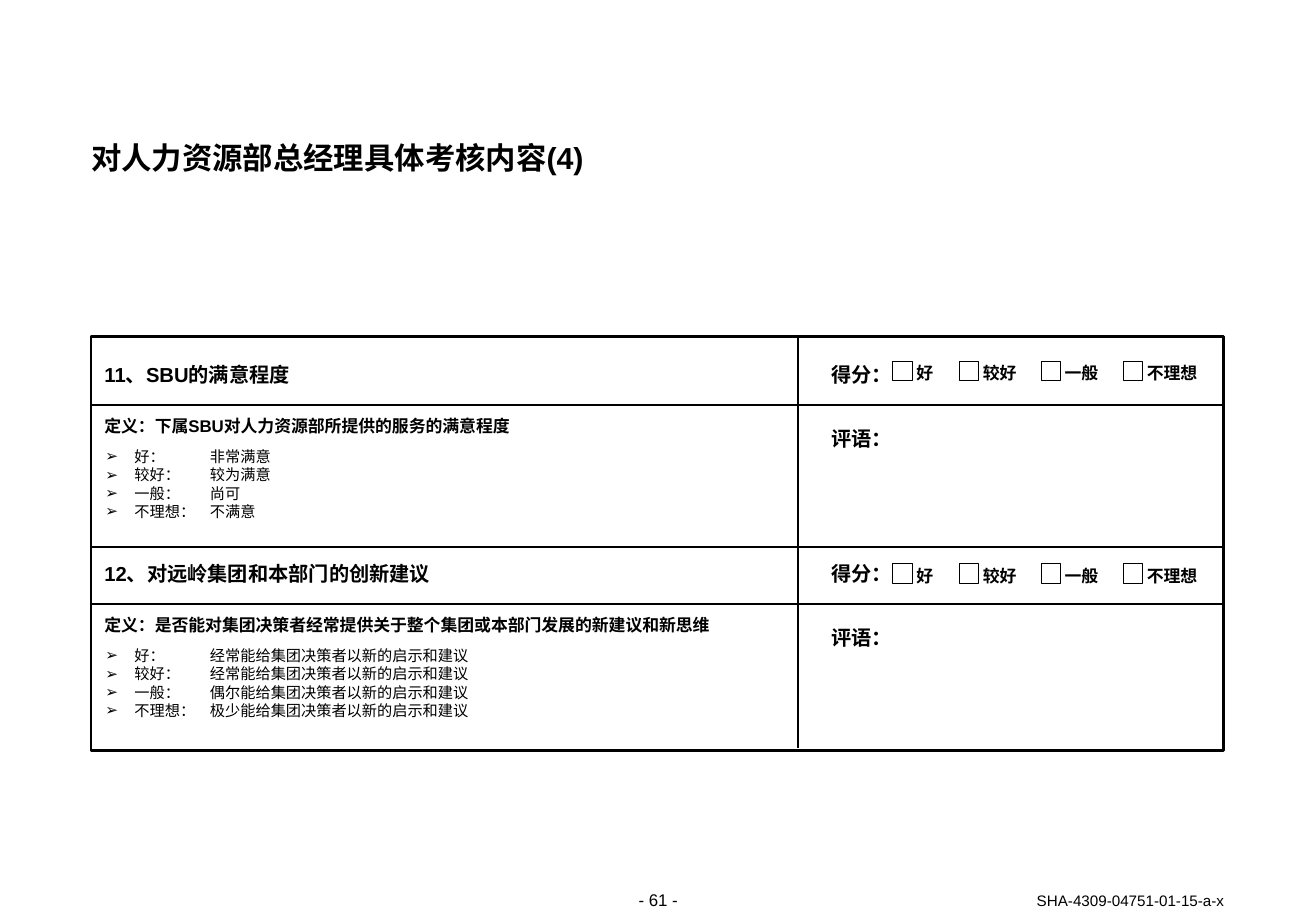
from dataclasses import dataclass
from lxml import etree
from pptx import Presentation
from pptx.dml.color import RGBColor
from pptx.enum.shapes import MSO_CONNECTOR, MSO_SHAPE
from pptx.enum.text import MSO_ANCHOR, MSO_AUTO_SIZE, PP_ALIGN
from pptx.oxml.ns import qn
from pptx.util import Length, Pt

LEFT, MID, RIGHT = PP_ALIGN.LEFT, PP_ALIGN.CENTER, PP_ALIGN.RIGHT
TOP, CENTRE, BASE = MSO_ANCHOR.TOP, MSO_ANCHOR.MIDDLE, MSO_ANCHOR.BOTTOM
FIT = MSO_AUTO_SIZE.SHAPE_TO_FIT_TEXT
RECT = MSO_SHAPE.RECTANGLE
STRAIGHT = MSO_CONNECTOR.STRAIGHT

FONT = "Arial"
HUES = {"ink": "000000", "paper": "FFFFFF"}
EDGE, END, SPLIT = 54, 725.7, 473
INSET, SCORE = 61.9, 493
CHECK = 11.5

Area = tuple[float, float, float, float]


@dataclass(frozen=True)
class Rule:
    x: float
    y: float
    to_x: float
    to_y: float
    weight: float


@dataclass(frozen=True)
class Grade:
    label: str
    x: float


@dataclass(frozen=True)
class Topic:
    head: str
    sense: str
    levels: tuple[str, ...]
    top: float
    check: float


RULES = [Rule(EDGE, y, END, y, 1) for y in (240.2, 324.1, 358)]
RULES.append(Rule(SPLIT, 199, SPLIT, 443.5, 1.5))

GRADES = [
    Grade("好", 529.4),
    Grade("较好", 568.9),
    Grade("一般", 617.3),
    Grade("不理想", 666.1),
]

TOPICS = [
    Topic(
        "11、SBU的满意程度",
        "定义：下属SBU对人力资源部所提供的服务的满意程度",
        ("非常满意", "较为满意", "尚可", "不满意"),
        214.7,
        214.1,
    ),
    Topic(
        "12、对远岭集团和本部门的创新建议",
        "定义：是否能对集团决策者经常提供关于整个集团或本部门发展的新建议和新思维",
        tuple(
            f"{often}能给集团决策者以新的启示和建议"
            for often in ("经常", "经常", "偶尔", "极少")
        ),
        332.7,
        334.1,
    ),
]


def hue(name: str) -> RGBColor:
    return RGBColor.from_string(HUES[name])


def mark(para, tab: float) -> None:
    props = para._p.get_or_add_pPr()
    props.set("marL", str(Pt(17.8)))
    props.set("indent", str(-Pt(17.3)))
    tint = etree.SubElement(props, qn("a:buClr"))
    etree.SubElement(tint, qn("a:srgbClr"), val=HUES["ink"])
    etree.SubElement(props, qn("a:buFont"), typeface=FONT)
    etree.SubElement(props, qn("a:buChar"), char="➢")
    tabs = etree.SubElement(props, qn("a:tabLst"))
    etree.SubElement(tabs, qn("a:tab"), pos=str(Pt(tab)), algn="l")


def write(
    shape,
    text: str,
    area: Area,
    *,
    size: float,
    bold: bool = False,
    align: PP_ALIGN = LEFT,
    anchor: MSO_ANCHOR = TOP,
    wrap: bool = True,
    pitch: Length | float = 1.0,
    gap: float = 0,
    tab: float | None = None,
) -> None:
    shape.left, shape.top, shape.width, shape.height = map(Pt, area)
    frame = shape.text_frame
    frame.margin_left = frame.margin_right = 0
    frame.margin_top = frame.margin_bottom = 0
    frame.word_wrap = wrap
    frame.auto_size = FIT
    frame.vertical_anchor = anchor
    for i, line in enumerate(text.split("\n")):
        para = frame.add_paragraph() if i else frame.paragraphs[0]
        if tab is not None:
            mark(para, tab)
        para.alignment = align
        para.line_spacing = pitch
        para.space_before = Pt(gap if i else 0)
        run = para.add_run()
        run.text = line
        run.font.name = FONT
        run.font.size = Pt(size)
        run.font.bold = bold
        run.font.color.rgb = hue("ink")


def label(shapes, text: str, area: Area, **form) -> None:
    write(shapes.add_textbox(*map(Pt, area)), text, area, **form)


def box(shapes, area: Area, weight: float, fill: str | None = None) -> None:
    shape = shapes.add_shape(RECT, *map(Pt, area))
    shape.shadow.inherit = False
    if fill:
        shape.fill.solid()
        shape.fill.fore_color.rgb = hue(fill)
    else:
        shape.fill.background()
    shape.line.color.rgb = hue("ink")
    shape.line.width = Pt(weight)


def draw(shapes, rule: Rule) -> None:
    ends = map(Pt, (rule.x, rule.y, rule.to_x, rule.to_y))
    line = shapes.add_connector(STRAIGHT, *ends)
    line.line.color.rgb = hue("ink")
    line.line.width = Pt(rule.weight)
    etree.SubElement(line._element.spPr, qn("a:effectLst"))


def rate(shapes, top: float) -> None:
    group = shapes.add_group_shape().shapes
    for grade in GRADES:
        box(group, (grade.x, top, CHECK, CHECK), 0.5, "paper")
        area = (grade.x + 13.8, top - 1, 10 * len(grade.label), 14)
        label(group, grade.label, area, size=10, bold=True, align=MID,
              anchor=CENTRE, wrap=False, pitch=Pt(14))


def fill(shapes, topic: Topic, body) -> None:
    top = topic.top
    label(shapes, topic.head, (INSET, top, 412, 14.4), size=12, bold=True)
    label(shapes, topic.sense, (INSET, top + 31.8, 413, 12), size=10, bold=True)
    lines = (f"{g.label}：\t{text}" for g, text in zip(GRADES, topic.levels))
    write(body, "\n".join(lines), (INSET, top + 51.6, 415, 42.5),
          size=9, pitch=0.9, gap=1.1, tab=62.6)
    label(shapes, "得分：", (SCORE, top, 39.6, 14.4), size=12, bold=True)
    label(shapes, "评语：", (SCORE, top + 38.3, 36, 14), size=12, bold=True,
          align=MID, anchor=CENTRE, wrap=False, pitch=Pt(14))
    rate(shapes, topic.check)


def main() -> None:
    deck = Presentation()
    deck.slide_width, deck.slide_height = Pt(780.2), Pt(540)
    slide = deck.slides.add_slide(deck.slide_layouts[3])
    shapes = slide.shapes
    title, *lists = slide.placeholders
    write(title, "对人力资源部总经理具体考核内容(4)", (EDGE, 84.2, 671.7, 20),
          size=18, bold=True, pitch=Pt(20))
    box(shapes, (EDGE, 199.5, 671.3, 245.5), 1.5)
    for rule in RULES:
        draw(shapes, rule)
    for topic, body in zip(TOPICS, lists):
        fill(shapes, topic, body)
    label(shapes, "- 61 -", (349.2, 527.2, 82, 12), size=10, align=MID)
    label(shapes, "SHA-4309-04751-01-15-a-x", (550, 528.2, 175.7, 11), size=9,
          align=RIGHT, anchor=BASE, pitch=Pt(11))
    deck.save("out.pptx")


if __name__ == "__main__":
    main()
